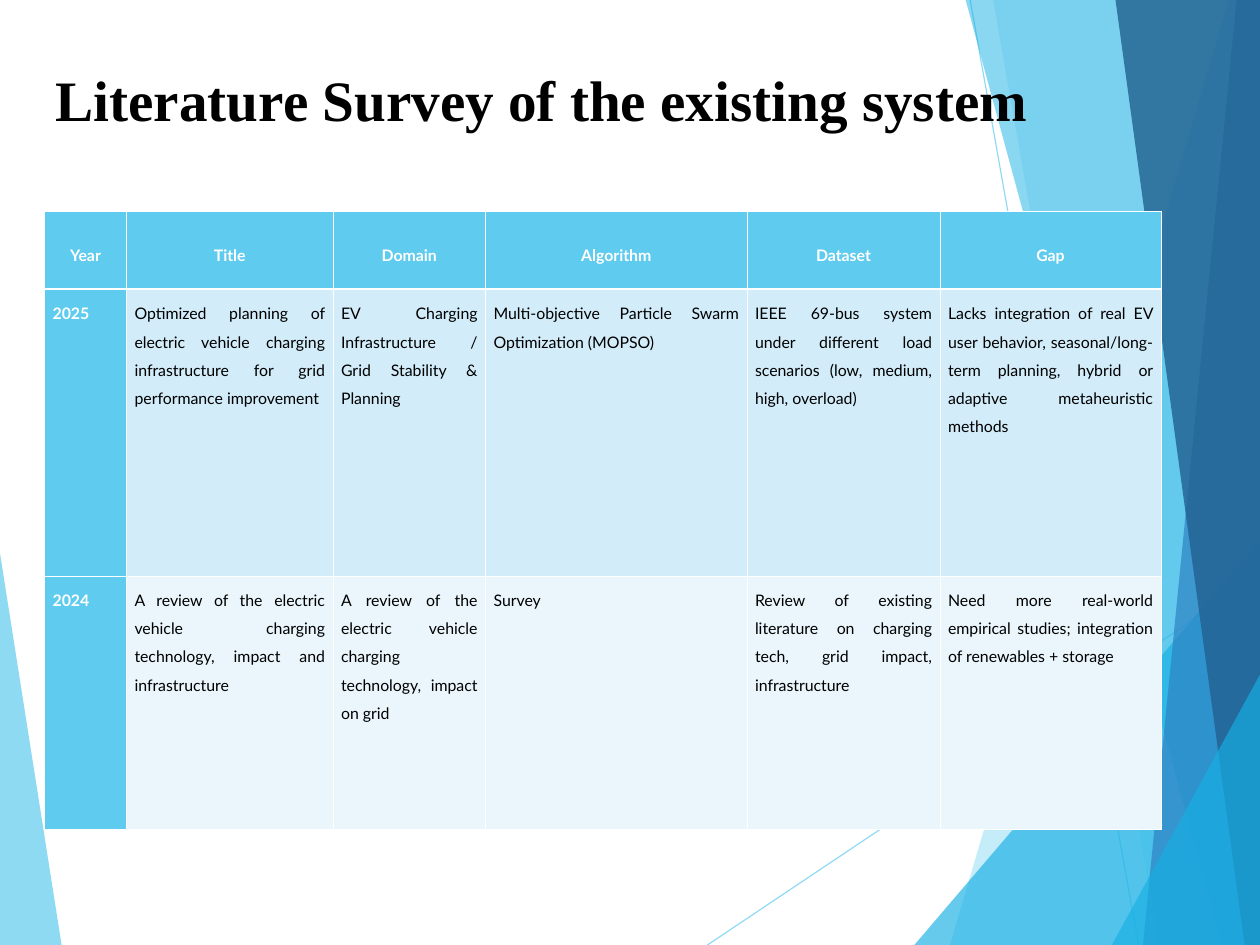
from collections import namedtuple

from lxml import etree
from pptx import Presentation
from pptx.dml.color import RGBColor
from pptx.enum.shapes import MSO_CONNECTOR
from pptx.enum.text import MSO_ANCHOR, PP_ALIGN
from pptx.oxml.ns import qn
from pptx.util import Cm, Pt

CENTER, JUSTIFY = PP_ALIGN.CENTER, PP_ALIGN.JUSTIFY
TOP, MIDDLE = MSO_ANCHOR.TOP, MSO_ANCHOR.MIDDLE
STRAIGHT = MSO_CONNECTOR.STRAIGHT

Box = namedtuple("Box", "left top width height")
PAGE = Box(0, 0, 28, 21)
TITLE = Box(0.99, 1.3, 24, 1.78)
SURVEY = Box(0.99, 4.7, 24.81, 13.74)

COLORS = {
    "sky": "5FCBEF",
    "cyan": "17B0E4",
    "blue": "2E83C3",
    "navy": "236292",
    "band_dark": "D2ECF9",
    "band_light": "EAF6FC",
    "white": "FFFFFF",
    "black": "000000",
}

# Slanted edge as two points, colour, opacity in percent; back to front
RIGHT_FACETS = [
    ((27.31, 0), (21.11, 21), "sky", 36),
    ((22.07, 0), (25.76, 21), "sky", 20),
    ((28, 12.01), (20.32, 21), "cyan", 66),
    ((21.46, 0), (27.15, 21), "cyan", 50),
    ((27.48, 0), (25.4, 21), "blue", 70),
    ((24.79, 0), (27.66, 21), "navy", 82),
    ((28, 14.99), (24.71, 21), "cyan", 66),
]
THIN_LINES = [((15.72, 21), (28, 12.78)), ((21.56, 0), (25.3, 21))]

COLUMN_WIDTHS = [1.82, 4.59, 3.39, 5.81, 4.29, 4.91]
ROW_HEIGHTS = [1.73, 6.37, 5.64]
BANDS = ["sky", "band_dark", "band_light"]
SURVEY_ROWS = [
    ["Year", "Title", "Domain", "Algorithm", "Dataset", "Gap"],
    ["2025",
     "Optimized planning of electric vehicle charging infrastructure for grid "
     "performance improvement",
     "EV Charging Infrastructure / Grid Stability & Planning",
     "Multi-objective Particle Swarm Optimization (MOPSO)",
     "IEEE 69-bus system under different load scenarios (low, medium, high, overload)",
     "Lacks integration of real EV user behavior, seasonal/long-term planning, "
     "hybrid or adaptive metaheuristic methods"],
    ["2024",
     "A review of the electric vehicle charging technology, impact and infrastructure",
     "A review of the electric vehicle charging technology, impact on grid",
     "Survey",
     "Review of existing literature on charging tech, grid impact, infrastructure",
     "Need more real-world empirical studies; integration of renewables + storage"],
]


def color(name):
    return RGBColor.from_string(COLORS[name])


def paint(fill, name):
    fill.solid()
    fill.fore_color.rgb = color(name)


def set_opacity(shape, percent):
    """Make the first colour of the shape partly transparent."""
    tint = next(shape._element.spPr.iter(qn("a:srgbClr")))
    etree.SubElement(tint, qn("a:alpha"), val=str(percent * 1000))


def style_font(font, name, size, color_name, bold):
    font.name, font.size, font.bold = name, Pt(size), bold
    font.color.rgb = color(color_name)


def add_facet(page, box, points, color_name, opacity):
    corners = [(Cm(box.left + x), Cm(box.top + y)) for x, y in points]
    builder = page.shapes.build_freeform(*corners[0], scale=1.0)
    builder.add_line_segments(corners[1:], close=True)
    facet = builder.convert_to_shape()
    facet.shadow.inherit = False
    paint(facet.fill, color_name)
    facet.line.fill.background()
    set_opacity(facet, opacity)


def add_thin_line(page, box, start, end):
    ends = [Cm(box[axis] + point[axis]) for point in (start, end) for axis in (0, 1)]
    line = page.shapes.add_connector(STRAIGHT, *ends)
    line.line.width = Pt(0.75)
    paint(line.line.fill, "sky")
    set_opacity(line, 70)
    etree.SubElement(line._element.spPr, qn("a:effectLst"))


def add_backdrop(page, box):
    """Translucent facets along the left and right edges of the box."""
    add_facet(page, box, [(0, 12.29), (1.37, box.height), (0, box.height)], "sky", 70)
    for start, end in THIN_LINES:
        add_thin_line(page, box, start, end)
    for upper, lower, color_name, opacity in RIGHT_FACETS:
        points = [upper, lower, (box.width, box.height)]
        if upper[0] < box.width:
            points.append((box.width, 0))
        add_facet(page, box, points, color_name, opacity)


def add_title(page, box):
    title = page.shapes.add_textbox(*map(Cm, box))
    title.text_frame.word_wrap = True
    title.text_frame.text = "Literature Survey of the existing system"
    span = title.text_frame.paragraphs[0].runs[0]
    style_font(span.font, "Times New Roman", 36, "black", True)


def set_borders(cell, top, bottom):
    """White borders: thin at the sides, given widths in points above and below."""
    properties = cell._tc.get_or_add_tcPr()
    widths = {"lnL": 0.45, "lnR": 0.45, "lnT": top, "lnB": bottom}
    for position, (side, width) in enumerate(widths.items()):
        border = etree.Element(qn(f"a:{side}"), w=str(Pt(width)))
        fill = etree.SubElement(border, qn("a:solidFill"))
        etree.SubElement(fill, qn("a:srgbClr"), val=COLORS["white"])
        properties.insert(position, border)


def fill_cell(cell, text, row, column):
    is_header = row == 0
    is_accent = is_header or column == 0
    paint(cell.fill, "sky" if is_accent else BANDS[row])
    set_borders(cell, 1.47 if row == 1 else 0.45, 1.47 if is_header else 0.45)
    cell.margin_left = cell.margin_right = Cm(0.18)
    cell.margin_top = cell.margin_bottom = Cm(0.13)
    cell.vertical_anchor = MIDDLE if is_header else TOP
    cell.text_frame.text = text
    para = cell.text_frame.paragraphs[0]
    para.alignment = CENTER if is_header else JUSTIFY
    para.line_spacing = 1.48
    style_font(para.runs[0].font, "Lato", 10, "white" if is_accent else "black", is_accent)


def add_survey_table(page, box):
    frame = page.shapes.add_table(len(ROW_HEIGHTS), len(COLUMN_WIDTHS), *map(Cm, box))
    table = frame.table
    for column, width in zip(table.columns, COLUMN_WIDTHS):
        column.width = Cm(width)
    for row, height in zip(table.rows, ROW_HEIGHTS):
        row.height = Cm(height)
    for row, texts in enumerate(SURVEY_ROWS):
        for column, text in enumerate(texts):
            fill_cell(table.cell(row, column), text, row, column)


def main():
    deck = Presentation()
    deck.slide_width, deck.slide_height = Cm(PAGE.width), Cm(PAGE.height)
    page = deck.slides.add_slide(deck.slide_layouts[6])
    add_backdrop(page, PAGE)
    add_survey_table(page, SURVEY)
    add_title(page, TITLE)
    deck.save("out.pptx")


if __name__ == "__main__":
    main()
